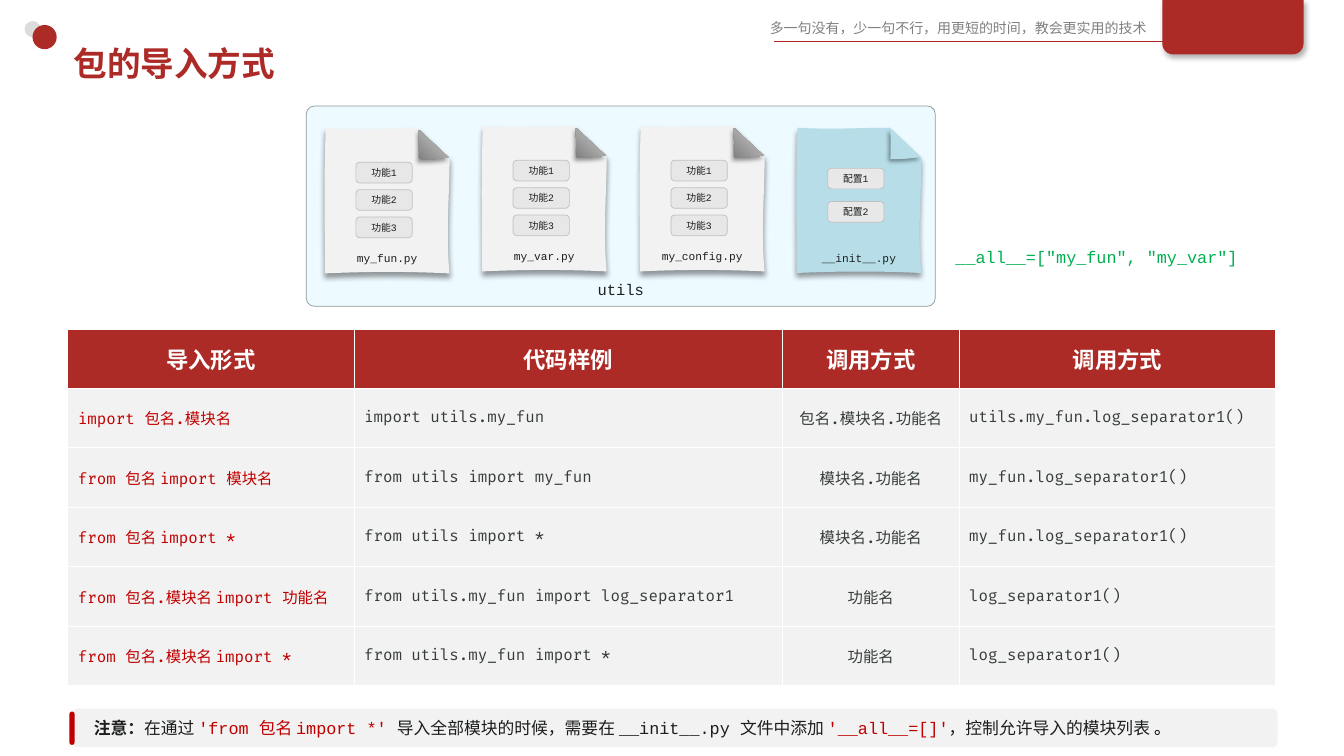
"""Builds the slide on the ways of importing a Python package."""
from lxml import etree
from pptx import Presentation
from pptx import util as u
from pptx.dml.color import RGBColor
from pptx.enum import shapes, text
from pptx.oxml.ns import qn

COLORS = {
    "brand": "AD2B26", "accent": "C00000", "ink": "1B1E1D", "code": "363C3B",
    "muted": "808080", "pale": "F2F2F2", "dot": "DADDDC", "white": "FFFFFF",
    "black": "000000", "green": "00B050", "sky": "A7E8FF", "frame": "8F9997",
    "config": "B7DEE8", "button": "BFBFBF", "button_config": "E8E8E8",
}
MONO, CODE, HAN = "Courier New", "Fira Code", "Noto Sans CJK SC"
KIND = shapes.MSO_SHAPE
LEFT, CENTER = text.PP_ALIGN.LEFT, text.PP_ALIGN.CENTER
MIDDLE, BOTTOM = text.MSO_ANCHOR.MIDDLE, text.MSO_ANCHOR.BOTTOM

PAGE = [
    [(0.05, 0)], [(0.94, 0.05), (1.6, 0), (2.36, 0)], [(2.41, 0.03)], [(3.17, 0.76)],
    [(3.17, 1.73), (3.07, 2.64), (3.17, 3.66)],
    [(2.11, 3.61), (1.15, 3.61), (0.03, 3.66)],
    [(0.03, 2.44), (0, 1.22), (0.05, 0)],
]
FOLD = [
    [(2.39, 0.05)], [(2.41, 0.05)], [(3.15, 0.74)],
    [(2.9, 0.76), (2.92, 0.79), (2.39, 0.79)],
    [(2.41, 0.25), (2.39, 0.28), (2.39, 0.05)],
]
FOLD_STOPS = [(0, "808080"), (48, "A6A6A6"), (88, "D1D1D1"), (100, "F2F2F2")]
FUNCTIONS = ["功能1", "功能2", "功能3"]
FILES = [
    ("my_fun.py", 8.16, 3.23, FUNCTIONS),
    ("my_var.py", 12.12, 3.18, FUNCTIONS),
    ("my_config.py", 16.1, 3.18, FUNCTIONS),
    ("__init__.py", 20.05, 3.22, ["配置1", "配置2"]),
]
HEADER = ["导入形式", "代码样例", "调用方式", "调用方式"]
IMPORTS = [
    ["import 包名.模块名", "import utils.my_fun",
     "包名.模块名.功能名", "utils.my_fun.log_separator1()"],
    ["from 包名 import 模块名", "from utils import my_fun",
     "模块名.功能名", "my_fun.log_separator1()"],
    ["from 包名 import *", "from utils import *",
     "模块名.功能名", "my_fun.log_separator1()"],
    ["from 包名.模块名 import 功能名", "from utils.my_fun import log_separator1",
     "功能名", "log_separator1()"],
    ["from 包名.模块名 import *", "from utils.my_fun import *",
     "功能名", "log_separator1()"],
]
NOTE = [
    ("注意：", "ink", True), ("在通过 ", "ink", False),
    ("'from 包名 import *' ", "accent", False),
    ("导入全部模块的时候，需要在 __init__.py 文件中添加 ", "ink", False),
    ("'__all__=[]'", "accent", False),
    ("，控制允许导入的模块列表 ", "ink", False), ("。", "black", False),
]


def rgb(name):
    """Return the colour with this name."""
    return RGBColor.from_string(COLORS[name])


def write(frame, words, size, color="ink", font=MONO, bold=False, align=LEFT,
          anchor=MIDDLE, wrap=True, insets=None):
    """Add one formatted run to the first paragraph of a text frame."""
    frame.word_wrap = wrap
    frame.vertical_anchor = anchor
    if insets:
        frame.margin_left = frame.margin_right = u.Cm(insets[0])
        frame.margin_top = frame.margin_bottom = u.Cm(insets[1])
    para = frame.paragraphs[0]
    para.alignment = align
    span = para.add_run()
    span.text = words
    span.font.size, span.font.bold, span.font.name = u.Pt(size), bold, font
    span.font.color.rgb = rgb(color)
    etree.SubElement(span.font._element, qn("a:ea"), typeface=HAN)


def paint(shape, fill, alpha=None, line=None):
    """Give a shape a flat fill, an optional thin outline and no shadow."""
    shape.shadow.inherit = False
    shape.fill.solid()
    shape.fill.fore_color.rgb = rgb(fill)
    if alpha:
        color = shape._element.spPr.find(qn("a:solidFill"))[0]
        etree.SubElement(color, qn("a:alpha"), val=str(alpha * 1000))
    if line:
        shape.line.color.rgb = rgb(line)
        shape.line.width = u.Pt(0.5)
    else:
        shape.line.fill.background()


def cast_shadow(shape, alpha, blur, distance, angle):
    """Add an outer shadow to a painted shape."""
    effects = shape._element.spPr.find(qn("a:effectLst"))
    shadow = etree.SubElement(
        effects, qn("a:outerShdw"), blurRad=str(u.Pt(blur)), dist=str(u.Pt(distance)),
        dir=str(angle * 60000), algn="ctr", rotWithShape="0")
    color = etree.SubElement(shadow, qn("a:srgbClr"), val=COLORS["black"])
    etree.SubElement(color, qn("a:alpha"), val=str(alpha * 1000))


def add_box(slide, kind, place, fill, corner=None, **style):
    """Add a painted preset shape at a place in centimetres."""
    box = slide.shapes.add_shape(kind, *map(u.Cm, place))
    if corner is not None:
        box.adjustments[0] = corner
    paint(box, fill, **style)
    return box


def add_text(slide, place, words, size, **style):
    """Add a text box at a place in centimetres."""
    box = slide.shapes.add_textbox(*map(u.Cm, place))
    write(box.text_frame, words, size, **style)


def add_outline(slide, segments, left, top, fill):
    """Add a closed outline whose three-point segments are curves."""
    spots = [[(u.Cm(left + x), u.Cm(top + y)) for x, y in part] for part in segments]
    builder = slide.shapes.build_freeform(*spots[0][0])
    builder.add_line_segments([part[-1] for part in spots[1:]], close=True)
    shape = builder.convert_to_shape()
    lines = list(shape._element.iter(qn("a:lnTo")))
    for line, part in zip(lines, spots[1:]):
        if len(part) == 3:
            line.clear()
            line.tag = qn("a:cubicBezTo")
            for x, y in part:
                etree.SubElement(line, qn("a:pt"), x=str(x - shape.left), y=str(y - shape.top))
    paint(shape, fill)
    return shape


def add_file(slide, name, left, top, labels):
    """Add a sheet with a folded corner, its buttons and its file name."""
    is_config = name == "__init__.py"
    page = add_outline(slide, PAGE, left, top, "config" if is_config else "pale")
    cast_shadow(page, 40, 4, 3, 90)
    write(page.text_frame, name, 8, align=CENTER, anchor=BOTTOM, insets=(0, 0.21))
    fold = add_outline(slide, FOLD, left, top, "config")
    cast_shadow(fold, 40, 3, 2, 120)
    if not is_config:
        fold.fill.gradient()
        fold.fill.gradient_angle = 46.5
        stops = fold._element.spPr.find(qn("a:gradFill")).find(qn("a:gsLst"))
        stops.clear()
        for position, color in FOLD_STOPS:
            stop = etree.SubElement(stops, qn("a:gs"), pos=str(position * 1000))
            etree.SubElement(stop, qn("a:srgbClr"), val=color)
    first, step = (1.02, 0.84) if is_config else (0.86, 0.69)
    fill, alpha = ("button_config", None) if is_config else ("button", 20)
    for index, label in enumerate(labels):
        place = (left + 0.81, top + first + index * step, 1.42, 0.52)
        button = add_box(slide, KIND.ROUNDED_RECTANGLE, place, fill, 0.19,
                         alpha=alpha, line="button")
        write(button.text_frame, label, 7, align=CENTER, insets=(0, 0))


def fill_cell(cell, words, size, fill, **style):
    """Write a table cell with white borders and a flat fill."""
    for side in ("a:lnL", "a:lnR", "a:lnT", "a:lnB"):
        border = etree.SubElement(cell._tc.get_or_add_tcPr(), qn(side), w=str(u.Pt(0.75)))
        paint_node = etree.SubElement(border, qn("a:solidFill"))
        etree.SubElement(paint_node, qn("a:srgbClr"), val=COLORS["white"])
    cell.fill.solid()
    cell.fill.fore_color.rgb = rgb(fill)
    cell.vertical_anchor = MIDDLE
    write(cell.text_frame, words, size, **style)


def add_import_table(slide):
    """Add the table of import forms."""
    widths, heights = [7.21, 10.8, 4.45, 7.98], [1.47] + [1.5] * 5
    table = slide.shapes.add_table(6, 4, *map(
        u.Cm, (1.71, 8.31, sum(widths), sum(heights)))).table
    table.horz_banding = False
    for column, width in zip(table.columns, widths):
        column.width = u.Cm(width)
    for row, height in zip(table.rows, heights):
        row.height = u.Cm(height)
    for column, words in enumerate(HEADER):
        fill_cell(table.cell(0, column), words, 16, "brand", color="white",
                  bold=True, align=CENTER)
    for row, entries in enumerate(IMPORTS, 1):
        for column, words in enumerate(entries):
            fill_cell(table.cell(row, column), words, 11, "pale", font=CODE,
                      color="code" if column else "accent",
                      align=CENTER if column == 2 else LEFT)


def add_banner(slide):
    """Add the motto, the corner tab, the dots and the title."""
    add_text(slide, (19.15, 0.36, 10.69, 0.69), "多一句没有，少一句不行，用更短的时间，教会更实用的技术",
             10, color="muted", font=HAN, wrap=False)
    rule = slide.shapes.add_connector(shapes.MSO_CONNECTOR.STRAIGHT, *map(
        u.Cm, (19.51, 1.04, 29.54, 1.04)))
    rule.line.color.rgb = rgb("brand")
    rule.line.width = u.Pt(1)
    etree.SubElement(rule._element.spPr, qn("a:effectLst"))
    tab = add_box(slide, KIND.ROUND_2_SAME_RECTANGLE, (29.29, 0, 3.56, 1.37), "brand", 0.2)
    tab.rotation = 180
    cast_shadow(tab, 30, 4, 3, 60)
    add_box(slide, KIND.OVAL, (0.62, 0.53, 0.41, 0.41), "dot")
    add_box(slide, KIND.OVAL, (0.82, 0.63, 0.61, 0.61), "brand")
    title = slide.shapes.title
    title.left, title.top, title.width, title.height = map(u.Cm, (1.6, 0.92, 29.85, 1.32))
    write(title.text_frame, "包的导入方式", 24, color="brand", bold=True)


def main():
    """Build and save the deck."""
    deck = Presentation()
    deck.slide_width, deck.slide_height = u.Cm(33.87), u.Cm(19.05)
    slide = deck.slides.add_slide(deck.slide_layouts[5])
    add_banner(slide)
    package = add_box(slide, KIND.ROUNDED_RECTANGLE, (7.72, 2.67, 15.85, 5.05), "sky",
                      0.04, alpha=20, line="frame")
    write(package.text_frame, "utils", 11, align=CENTER, anchor=BOTTOM, insets=(0.25, 0.13))
    for file in FILES:
        add_file(slide, *file)
    add_import_table(slide)
    note = add_box(slide, KIND.ROUNDED_RECTANGLE, (1.82, 17.86, 30.38, 0.97), "black",
                   0.12, alpha=5)
    for words, color, bold in NOTE:
        write(note.text_frame, words, 12, color=color, bold=bold, insets=(0.51, 0.13))
    add_box(slide, KIND.ROUNDED_RECTANGLE, (1.75, 17.93, 0.13, 0.84), "accent", 0.5)
    add_text(slide, (23.83, 6.1, 7.75, 0.76), '__all__=["my_fun", "my_var"]', 12,
             color="green", wrap=False)
    deck.save("out.pptx")


if __name__ == "__main__":
    main()
